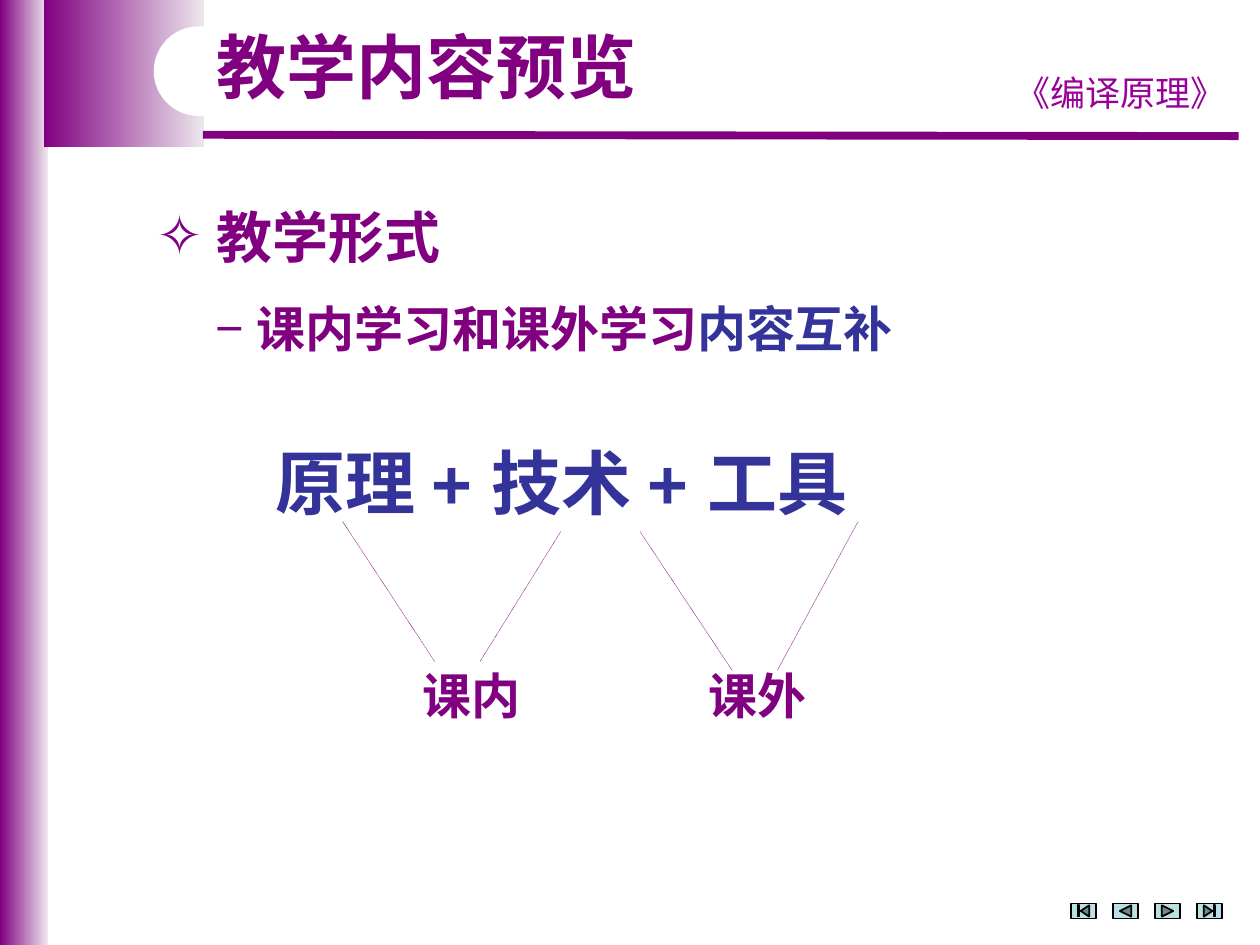
from lxml.etree import SubElement
from pptx import Presentation
from pptx.dml.color import RGBColor
from pptx.enum.dml import MSO_LINE
from pptx.enum.shapes import MSO_CONNECTOR, MSO_SHAPE
from pptx.enum.text import MSO_ANCHOR, PP_ALIGN
from pptx.oxml.ns import qn
from pptx.util import Inches, Pt

COLORS = {"purple": "800080", "pale": "EDE7ED", "course": "990099", "blue": "333399",
          "white": "FFFFFF", "button": "BBE0E3", "black": "000000"}
CJK = "Noto Sans CJK SC"


def add_text(parent, box, runs, size, font="Arial", bold=True, align=PP_ALIGN.LEFT,
             wrap=True, bullet=None, indent=0):
    frame = parent.add_textbox(*map(Inches, box)).text_frame
    frame.word_wrap = wrap
    frame.vertical_anchor = MSO_ANCHOR.MIDDLE
    paragraph = frame.paragraphs[0]
    paragraph.alignment = align
    if bullet:
        props = paragraph._p.get_or_add_pPr()
        props.set("marL", str(Inches(indent)))
        props.set("indent", str(-Inches(indent)))
        bullet_color = SubElement(props, qn("a:buClr"))
        SubElement(bullet_color, qn("a:srgbClr"), val=COLORS["purple"])
        SubElement(props, qn("a:buFont"), typeface="Arial")
        SubElement(props, qn("a:buChar"), char=bullet)
    for words, color in runs:
        run = paragraph.add_run()
        run.text = words
        run.font.size = Pt(size)
        run.font.bold = bold
        run.font.name = font
        run.font.color.rgb = RGBColor.from_string(COLORS[color])
        SubElement(run._r.get_or_add_rPr(), qn("a:ea"), typeface=CJK)
    return paragraph


def add_line(parent, start, end, width):
    line = parent.add_connector(MSO_CONNECTOR.STRAIGHT, *map(Inches, start + end))
    line.line.color.rgb = RGBColor.from_string(COLORS["purple"])
    line.line.width = Pt(width)
    SubElement(line._element.spPr, qn("a:effectLst"))
    return line


prs = Presentation()
prs.slide_width = Inches(10)
prs.slide_height = Inches(7.5)
shapes = prs.slides.add_slide(prs.slide_layouts[6]).shapes

for band_box in [(0, 0, 0.38, 7.5), (0.35, 0, 1.27, 1.17)]:
    band = shapes.add_shape(MSO_SHAPE.RECTANGLE, *map(Inches, band_box))
    band.shadow.inherit = False
    band.line.fill.background()
    band.fill.gradient()
    band.fill.gradient_angle = 0
    for stop, color, position in zip(band.fill.gradient_stops, ("purple", "pale"), (0, 1)):
        stop.color.rgb = RGBColor.from_string(COLORS[color])
        stop.position = position

add_line(shapes, (1.61, 1.07), (9.83, 1.08), 4.5)
add_text(shapes, (7.91, 0.52, 1.97, 0.43), [("《编译原理》", "course")], 20, CJK,
         bold=False, align=PP_ALIGN.CENTER)

title_plate = shapes.add_shape(MSO_SHAPE.ROUNDED_RECTANGLE, Inches(1.22), Inches(0.21),
                               Inches(3.62), Inches(0.71))
title_plate.adjustments[0] = 0.5
title_plate.shadow.inherit = False
title_plate.fill.solid()
title_plate.fill.fore_color.rgb = RGBColor.from_string(COLORS["white"])
title_plate.line.fill.background()

add_text(shapes, (1.14, 1.55, 7.4, 0.64), [("教学形式", "purple")], 32,
         bullet="✧", indent=0.48)
add_text(shapes, (1.61, 2.32, 6.77, 0.57),
         [("课内学习和课外学习", "purple"), ("内容互补", "blue")], 28,
         bullet="−", indent=0.33)

navigation = [MSO_SHAPE.ACTION_BUTTON_BEGINNING, MSO_SHAPE.ACTION_BUTTON_BACK_OR_PREVIOUS,
              MSO_SHAPE.ACTION_BUTTON_FORWARD_OR_NEXT, MSO_SHAPE.ACTION_BUTTON_END]
for index, action in enumerate(navigation):
    button = shapes.add_shape(action, Inches(8.5 + index / 3), Inches(7.17),
                              Inches(0.2), Inches(0.12))
    button.shadow.inherit = False
    button.fill.solid()
    button.fill.fore_color.rgb = RGBColor.from_string(COLORS["button"])
    button.line.color.rgb = RGBColor.from_string(COLORS["black"])
    button.line.width = Pt(1)

title = add_text(shapes, (1.62, 0.21, 3.53, 0.7), [("教学内容预览", "purple")], 40, CJK,
                 align=PP_ALIGN.CENTER, wrap=False)
title.line_spacing = 0.9

add_text(shapes, (2.09, 3.44, 5.43, 0.77), [("原理 + 技术 + 工具", "blue")], 40)

branches = [
    ("课内", (3.17, 5.23, 1.14, 0.57),
     [((2.72, 4.14), (3.45, 5.25)), ((4.45, 4.22), (3.81, 5.25))]),
    ("课外", (5.52, 5.23, 0.98, 0.57),
     [((5.08, 4.22), (5.81, 5.32)), ((6.81, 4.14), (6.17, 5.32))]),
]
for setting, box, links in branches:
    branch = shapes.add_group_shape().shapes
    add_text(branch, box, [(setting, "purple")], 28, align=PP_ALIGN.CENTER)
    for start, end in links:
        link = add_line(branch, start, end, 0.25)
        link.line.dash_style = MSO_LINE.ROUND_DOT

prs.save("out.pptx")
